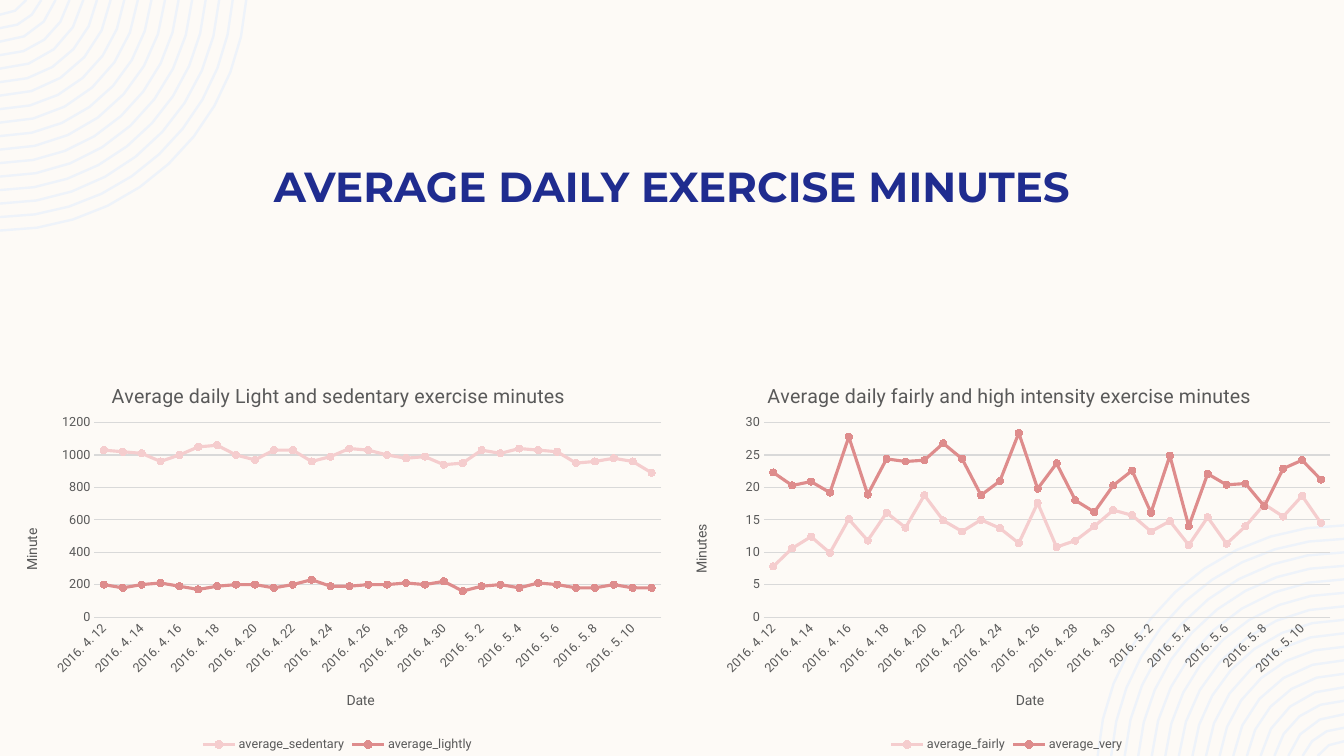
import math

from lxml import etree
from pptx import Presentation, util as u
from pptx.chart.data import CategoryChartData
from pptx.dml.color import RGBColor
from pptx.enum import chart as ch, text
from pptx.oxml.ns import qn

CREAM = RGBColor(0xFD, 0xFA, 0xF6)
RING_BLUE = RGBColor(0xEE, 0xF3, 0xFA)
NAVY = RGBColor(0x1F, 0x2C, 0x8F)
GREY = RGBColor(0x59, 0x59, 0x59)
GRID = RGBColor(0xD9, 0xD9, 0xD9)
PALE_PINK = RGBColor(0xF5, 0xCD, 0xCE)
ROSE = RGBColor(0xDE, 0x8C, 0x8C)

WIDTH, HEIGHT = u.Cm(33.87), u.Cm(19.05)
DATES = [f"2016. 4. {day}" for day in range(12, 31)]
DATES += [f"2016. 5. {day}" for day in range(1, 12)]

SEDENTARY = [1030, 1020, 1010, 960, 1000, 1050, 1060, 1000, 970, 1030,
             1030, 960, 990, 1040, 1030, 1000, 980, 990, 940, 950,
             1030, 1010, 1040, 1030, 1020, 950, 960, 980, 960, 890]
LIGHTLY = [200, 180, 200, 210, 190, 170, 190, 200, 200, 180,
           200, 230, 190, 190, 200, 200, 210, 200, 220, 160,
           190, 200, 180, 210, 200, 180, 180, 200, 180, 180]
FAIRLY = [7.8, 10.6, 12.4, 9.9, 15.1, 11.8, 16.1, 13.8, 18.8, 14.9,
          13.2, 15, 13.7, 11.4, 17.6, 10.8, 11.8, 14, 16.5, 15.7,
          13.2, 14.8, 11.1, 15.4, 11.3, 14, 17.4, 15.5, 18.7, 14.5]
VERY = [22.3, 20.3, 20.9, 19.2, 27.8, 18.9, 24.4, 24, 24.2, 26.8,
        24.4, 18.8, 21, 28.4, 19.8, 23.7, 18, 16.2, 20.3, 22.6,
        16.1, 24.9, 14, 22.1, 20.4, 20.6, 17.1, 22.9, 24.2, 21.2]


def style_font(font, size, color, name="Roboto", bold=False):
    font.size = u.Pt(size)
    font.name = name
    font.bold = bold
    font.color.rgb = color


def add_corner_rings(slide, corner_x, corner_y, direction):
    offset, outer, step = u.Cm(0.41), u.Cm(6.22), u.Cm(0.34)
    builder = None
    for ring in range(17):
        radius = outer - ring * step
        steps = 10 - ring // 2
        start = math.asin(offset / radius)
        angles = [start + (math.pi / 2 - start) * i / steps for i in range(steps + 1)]
        arc = [(corner_x + direction * radius * math.cos(angle),
                corner_y + direction * (radius * math.sin(angle) - offset))
               for angle in angles]
        if builder is None:
            builder = slide.shapes.build_freeform(*arc[0])
        else:
            builder.move_to(*arc[0])
        builder.add_line_segments(arc[1:], close=False)
    corner = builder.convert_to_shape()
    corner.shadow.inherit = False
    corner.fill.background()
    corner.line.color.rgb = RING_BLUE
    corner.line.width = u.Cm(0.06)


def add_heading(slide, left, top, width, height):
    heading = slide.shapes.add_textbox(left, top, width, height).text_frame
    heading.word_wrap = True
    heading.vertical_anchor = text.MSO_ANCHOR.MIDDLE
    line = heading.paragraphs[0]
    line.alignment = text.PP_ALIGN.CENTER
    line.line_spacing = u.Pt(48.8)
    run = line.add_run()
    run.text = "AVERAGE DAILY EXERCISE MINUTES"
    style_font(run.font, 30, NAVY, "Montserrat", True)


def place(element, inner=False, **fractions):
    for old in element.findall(qn("c:layout")):
        element.remove(old)
    layout = etree.Element(qn("c:layout"))
    manual = etree.SubElement(layout, qn("c:manualLayout"))
    settings = [("layoutTarget", "inner")] if inner else []
    settings += [("xMode", "edge"), ("yMode", "edge"), *fractions.items()]
    for tag, value in settings:
        etree.SubElement(manual, qn(f"c:{tag}")).set("val", str(value))
    element.insert(0 if element.find(qn("c:tx")) is None else 1, layout)


def write_title(title, wording, size, x, y):
    run = title.text_frame.paragraphs[0].add_run()
    run.text = wording
    style_font(run.font, size, GREY)
    place(title._element, x=x, y=y)


def add_minutes_chart(slide, left, top, width, height, title, title_x,
                      unit, unit_y, maximum, major, series):
    data = CategoryChartData()
    data.categories = DATES
    for name, minutes in series:
        data.add_series(name, minutes)
    chart = slide.shapes.add_chart(
        ch.XL_CHART_TYPE.LINE_MARKERS, left, top, width, height, data).chart
    style_font(chart.font, 10, GREY)
    chart.has_title = True
    write_title(chart.chart_title, title, 14, title_x, 0.05)
    chart.has_legend = True
    chart.legend.position = ch.XL_LEGEND_POSITION.BOTTOM
    chart.legend.include_in_layout = False
    style_font(chart.legend.font, 9, GREY)

    dates, minutes_axis = chart.category_axis, chart.value_axis
    for axis in (dates, minutes_axis):
        axis.major_tick_mark = axis.minor_tick_mark = ch.XL_TICK_MARK.NONE
        style_font(axis.tick_labels.font, 9, GREY)
    write_title(dates.axis_title, "Date", 10, 0.51, 0.83)
    write_title(minutes_axis.axis_title, unit, 10, 0.03, unit_y)
    minutes_axis.axis_title._element.xpath(".//a:bodyPr")[0].set("rot", "-5400000")
    dates.format.line.color.rgb = GRID
    dates.format.line.width = u.Pt(0.75)
    dates._element.xpath("c:txPr/a:bodyPr")[0].set("rot", "-2700000")
    skip = etree.Element(qn("c:tickLblSkip"))
    skip.set("val", "2")
    dates._element.find(qn("c:noMultiLvlLbl")).addprevious(skip)
    minutes_axis.minimum_scale = 0
    minutes_axis.maximum_scale = maximum
    minutes_axis.major_unit = major
    minutes_axis.format.line.fill.background()
    minutes_axis.has_major_gridlines = True
    minutes_axis.major_gridlines.format.line.color.rgb = GRID
    minutes_axis.major_gridlines.format.line.width = u.Pt(0.75)

    plot = chart.plots[0]
    plot.vary_by_categories = False
    for curve, color in zip(plot.series, (PALE_PINK, ROSE)):
        curve.smooth = False
        curve.format.line.color.rgb = color
        curve.format.line.width = u.Pt(2.25)
        curve.marker.style = ch.XL_MARKER_STYLE.CIRCLE
        curve.marker.size = 5
        curve.marker.format.fill.solid()
        curve.marker.format.fill.fore_color.rgb = color
        curve.marker.format.line.color.rgb = color
    plot_area = chart._chartSpace.chart.plotArea
    place(plot_area, inner=True, x=0.14, y=0.16, w=0.84, h=0.49)


def main():
    deck = Presentation()
    deck.slide_width, deck.slide_height = WIDTH, HEIGHT
    slide = deck.slides.add_slide(deck.slide_layouts[6])
    slide.background.fill.solid()
    slide.background.fill.fore_color.rgb = CREAM

    add_corner_rings(slide, 0, 0, 1)
    add_corner_rings(slide, WIDTH, HEIGHT, -1)
    add_heading(slide, u.Cm(2.12), u.Cm(3.38), u.Cm(29.63), u.Cm(2.13))

    chart_width, chart_height = u.Cm(17), u.Cm(10)
    chart_top = HEIGHT - chart_height
    add_minutes_chart(
        slide, 0, chart_top, chart_width, chart_height,
        "Average daily Light and sedentary exercise minutes", 0.16,
        "Minute", 0.42, 1200, 200,
        [("average_sedentary", SEDENTARY), ("average_lightly", LIGHTLY)])
    add_minutes_chart(
        slide, WIDTH - chart_width, chart_top, chart_width, chart_height,
        "Average daily fairly and high intensity exercise minutes", 0.14,
        "Minutes", 0.41, 30, 5,
        [("average_fairly", FAIRLY), ("average_very", VERY)])
    deck.save("out.pptx")


if __name__ == "__main__":
    main()
